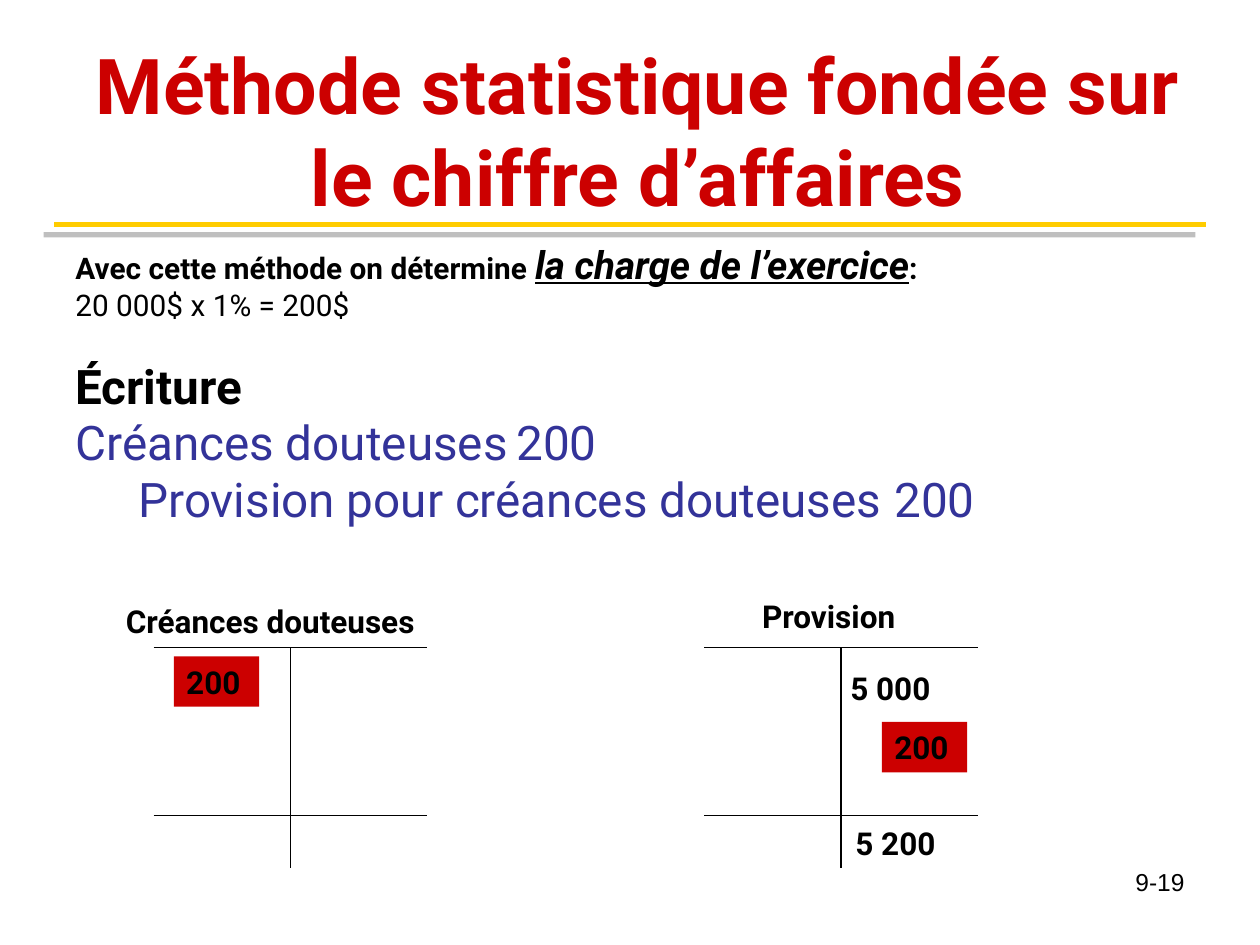
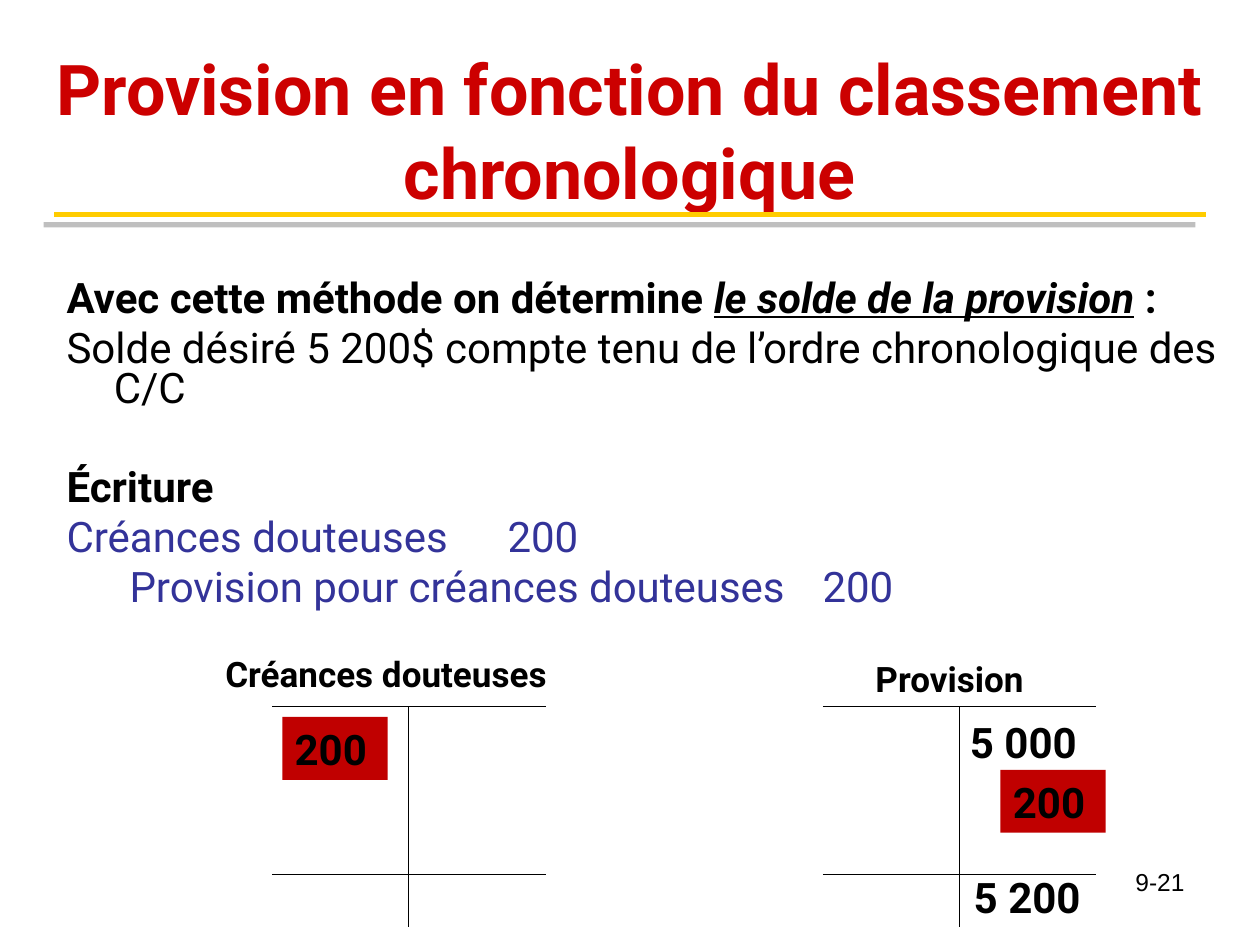
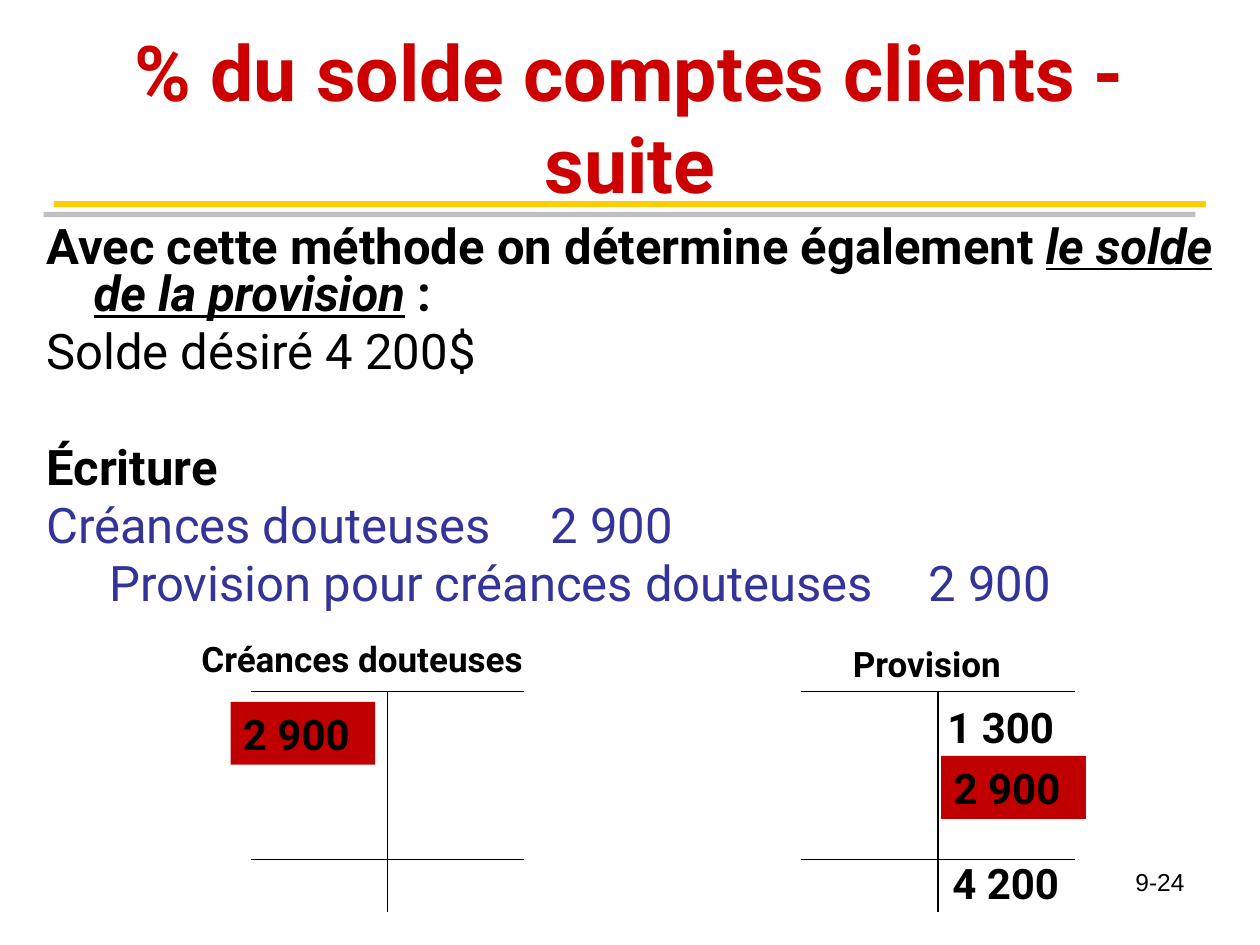
from lxml.etree import SubElement
from pptx import Presentation
from pptx.dml.color import RGBColor as Rgb
from pptx.enum.shapes import MSO_CONNECTOR as Connector, MSO_SHAPE as Preset
from pptx.enum.text import MSO_ANCHOR as Anchor, MSO_AUTO_SIZE as AutoSize, PP_ALIGN as Align
from pptx.oxml.ns import qn
from pptx.util import Inches, Pt

COLORS = {
    "title": "CC0000", "rule": "FFCC00", "shadow": "808080",
    "ink": "000000", "entry": "333399", "red": "CC0000", "dark_red": "C00000",
}
COLUMNS, ROWS = 100, 75
HANG = 3.75
ACCOUNT_WIDTH, ACCOUNT_HEIGHT, BALANCE_ROW, ACCOUNT_STEP = 21.7, 17.5, 13.3, 43.7


class Deck:
    def __init__(self):
        self.prs = Presentation()
        self.prs.slide_width, self.prs.slide_height = Inches(10), Inches(7.5)
        self.slide = None

    def x(self, columns):
        return round(self.prs.slide_width * columns / COLUMNS)

    def y(self, rows):
        return round(self.prs.slide_height * rows / ROWS)

    def box(self, left, top, width, height):
        return self.x(left), self.y(top), self.x(width), self.y(height)

    def font(self, font, size, color="ink", bold=False, name="Roboto"):
        font.name, font.size, font.bold = name, Pt(size), bold
        font.color.rgb = Rgb.from_string(COLORS[color])

    def start(self, title, title_box, size, rule_row, number):
        self.slide = self.prs.slides.add_slide(self.prs.slide_layouts[5])
        heading = self.slide.shapes.title
        heading.left, heading.top, heading.width, heading.height = self.box(*title_box)
        frame = heading.text_frame
        frame.text = title
        frame.word_wrap, frame.auto_size = True, AutoSize.NONE
        frame.vertical_anchor = Anchor.MIDDLE
        frame.paragraphs[0].alignment = Align.CENTER
        self.font(frame.paragraphs[0].font, size, "title", True)
        effects = self.line(self.slide.shapes, (4.3, rule_row), (95.7, rule_row), "rule", 3)
        shadow = SubElement(effects, qn("a:outerShdw"), dist=str(Pt(8.5)),
                            dir=str(135 * 60000), algn="ctr", rotWithShape="0")
        tint = SubElement(shadow, qn("a:srgbClr"), val=COLORS["shadow"])
        SubElement(tint, qn("a:alpha"), val="50000")
        page = self.slide.shapes.add_textbox(*self.box(71.7, 68.3, 23.3, 5.2))
        self.label(page, number, 14, bold=False, name="Arial").alignment = Align.RIGHT

    def line(self, shapes, start, end, color="ink", width=0.75):
        line = shapes.add_connector(Connector.STRAIGHT, self.x(start[0]), self.y(start[1]),
                                    self.x(end[0]), self.y(end[1]))
        line.line.color.rgb = Rgb.from_string(COLORS[color])
        line.line.width = Pt(width)
        return SubElement(line._element.spPr, qn("a:effectLst"))

    def label(self, shape, text, size, bold=True, name="Roboto"):
        frame = shape.text_frame
        frame.word_wrap = True
        frame.text = text
        paragraph = frame.paragraphs[0]
        paragraph.alignment = Align.LEFT
        self.font(paragraph.font, size, bold=bold, name=name)
        return paragraph

    def paragraph(self, frame, text, size, color="ink", bold=False, before=0, tabs=()):
        paragraph = frame.add_paragraph() if frame.paragraphs[0].runs else frame.paragraphs[0]
        properties = paragraph._p.get_or_add_pPr()
        hang = 0 if tabs else self.x(HANG)
        properties.set("marL", str(hang))
        properties.set("indent", str(-hang))
        if tabs:
            stops = SubElement(properties, qn("a:tabLst"))
            for stop in tabs:
                SubElement(stops, qn("a:tab"), pos=str(self.x(stop)), algn="l")
        paragraph.line_spacing = 0.8
        paragraph.space_before = Pt(round(0.23 * size + before, 1))
        self.font(paragraph.font, size, color, bold)
        if text:
            paragraph.add_run().text = text
        return paragraph

    def journal(self, box, intro, detail, amount, stops, sizes):
        note, emphasis, entry = sizes
        frame = self.slide.shapes.add_textbox(*self.box(*box)).text_frame
        frame.word_wrap = True
        lead = self.paragraph(frame, "", note, bold=True)
        for index, text in enumerate(intro):
            run = lead.add_run()
            run.text = text
            if index == 1:
                run.font.italic = run.font.underline = True
                run.font.size = Pt(emphasis)
        self.paragraph(frame, detail, note)
        self.paragraph(frame, "Écriture", entry, bold=True, before=1.17 * note)
        debit, credit = stops
        self.paragraph(frame, f"Créances douteuses\t{amount}", entry, "entry", tabs=[debit])
        self.paragraph(frame, f"\tProvision pour créances douteuses\t{amount}", entry, "entry",
                       tabs=[HANG, credit])

    def account(self, left, top, name, name_at, name_size, entries, size):
        shapes = self.slide.shapes.add_group_shape().shapes
        stem = left + ACCOUNT_WIDTH / 2
        for row in (top, top + BALANCE_ROW):
            self.line(shapes, (left, row), (left + ACCOUNT_WIDTH, row))
        self.line(shapes, (stem, top), (stem, top + ACCOUNT_HEIGHT))
        dx, dy = name_at
        name_width = 3 + name_size * len(name) * 0.072
        heading = shapes.add_textbox(*self.box(left + dx, top + dy, name_width,
                                               1 + name_size / 6))
        self.label(heading, name, name_size)
        for amount, dx, dy, fill in entries:
            box = self.box(left + dx, top + dy, 2 + size * (0.07 + 0.065 * len(amount)),
                           1 + size / 6)
            if fill:
                figure = shapes.add_shape(Preset.RECTANGLE, *box)
                figure.shadow.inherit = False
                figure.fill.solid()
                figure.fill.fore_color.rgb = Rgb.from_string(COLORS[fill])
                figure.line.fill.background()
            else:
                figure = shapes.add_textbox(*box)
            self.label(figure, amount, size)

    def accounts(self, left, top, names_at, name_size, size, debit, credits):
        self.account(left, top, "Créances douteuses", names_at[0], name_size, [debit], size)
        self.account(left + ACCOUNT_STEP, top, "Provision", names_at[1], name_size, credits, size)


def main():
    deck = Deck()

    deck.start("Méthode statistique fondée sur le chiffre d’affaires",
               (3.5, 2.3, 94.3, 16), 44, 17.8, "9-19")
    deck.journal((5, 19.3, 93, 26.1),
                 ("Avec cette méthode on détermine ", "la charge de l’exercice", ":"),
                 "20 000$ x 1% = 200$", "200", (62.5, 74.9), (17, 22.1, 27.2))
    deck.accounts(12.2, 51.4, ((-3.2, -4.1), (3.6, -4.5)), 18, 18,
                  ("200", 1.6, 0.7, "red"),
                  [("5 000", 10.6, 1.2, None), ("200", 14.1, 5.9, "red"),
                   ("5 200", 11, 13.5, None)])

    deck.start("Provision en fonction du classement chronologique",
               (2, 2.3, 95.9, 16), 40, 17, "9-21")
    deck.journal((4.3, 21.8, 93.3, 20),
                 ("Avec cette méthode on détermine ", "le solde de la provision", " :"),
                 "Solde désiré 5 200$ compte tenu de l’ordre chronologique des C/C",
                 "200", (55.1, 68.2), (24, 24, 24))
    deck.accounts(21.6, 56.1, ((-4.7, -4.8), (3.2, -4.4)), 20, 24,
                  ("200", 0.8, 0.8, "dark_red"),
                  [("5 000", 10.7, 0.3, None), ("200", 14.1, 5, "dark_red"),
                   ("5 200", 11, 12.6, None)])

    deck.start("% du solde comptes clients - suite", (5, 3, 90, 12.5), 44, 16.2, "9-24")
    deck.journal((2.7, 17.5, 94.5, 56.1),
                 ("Avec cette méthode on détermine également ", "le solde de la provision", " :"),
                 "Solde désiré 4 200$", "2 900", (38.1, 70.1), (28, 28, 28))
    deck.accounts(19.9, 54.9, ((-4.9, -4.8), (3.1, -4.4)), 20, 24,
                  ("2 900", -1.6, 0.8, "dark_red"),
                  [("1 300", 10.6, 0.3, None), ("2 900", 11.1, 5.1, "dark_red"),
                   ("4 200", 11, 12.7, None)])

    deck.prs.save("out.pptx")


if __name__ == "__main__":
    main()
